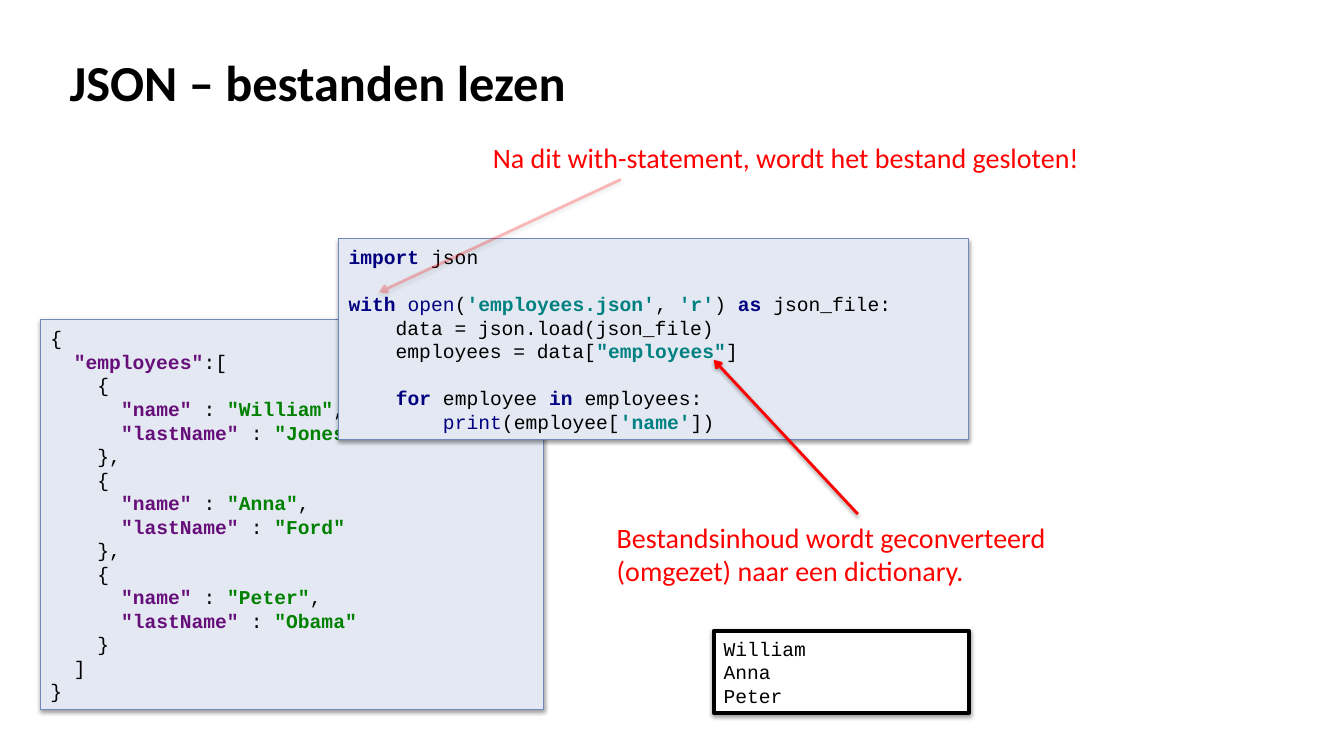
from copy import deepcopy

from lxml import etree
from pptx import Presentation
from pptx.dml.color import RGBColor
from pptx.enum.shapes import MSO_CONNECTOR, MSO_SHAPE
from pptx.enum.text import MSO_ANCHOR, MSO_AUTO_SIZE, PP_ALIGN
from pptx.oxml.ns import qn
from pptx.util import Inches, Pt

RECTANGLE = MSO_SHAPE.RECTANGLE
STRAIGHT = MSO_CONNECTOR.STRAIGHT
MIDDLE = MSO_ANCHOR.MIDDLE
FIT_TEXT = MSO_AUTO_SIZE.SHAPE_TO_FIT_TEXT
LEFT = PP_ALIGN.LEFT

SLIDE_WIDTH, SLIDE_HEIGHT = Inches(13.33), Inches(7.5)
TITLE_ONLY = 5
BODY_FONT, CODE_FONT = "Calibri", "Courier New"
BLACK, RED = "000000", "FF0000"
PANEL = {"fill": "E3E8F2", "outline": "7088BA", "weight": 0.75}
CONSOLE = {"fill": "FFFFFF", "outline": BLACK, "weight": 3}

TOKEN_STYLES = {
    "plain": (BLACK, False),
    "key": ("660E7A", True),
    "value": ("008000", True),
    "keyword": ("000080", True),
    "builtin": ("000080", False),
    "string": ("008080", True),
}


def employee_lines(first_name, last_name, closing):
    """Return the JSON lines of one employee."""
    return [
        [("    {", "plain")],
        [("      ", "plain"), ('"name" ', "key"), (": ", "plain"),
         (f'"{first_name}"', "value"), (",", "plain")],
        [("      ", "plain"), ('"lastName" ', "key"), (": ", "plain"),
         (f'"{last_name}"', "value")],
        [(f"    {closing}", "plain")],
    ]


JSON_LINES = [
    [("{", "plain")],
    [("  ", "plain"), ('"employees"', "key"), (":[", "plain")],
    *employee_lines("William", "Jones", "},"),
    *employee_lines("Anna", "Ford", "},"),
    *employee_lines("Peter", "Obama", "}"),
    [("  ]", "plain")],
    [("}", "plain")],
]
PROGRAM_LINES = [
    [("import ", "keyword"), ("json", "plain")],
    [],
    [("with ", "keyword"), ("open", "builtin"), ("(", "plain"),
     ("'employees.json'", "string"), (", ", "plain"), ("'r'", "string"),
     (") ", "plain"), ("as ", "keyword"), ("json_file:", "plain")],
    [("    data = json.load(json_file)", "plain")],
    [("    employees = data[", "plain"), ('"employees"', "string"), ("]", "plain")],
    [],
    [("    ", "plain"), ("for ", "keyword"), ("employee ", "plain"),
     ("in ", "keyword"), ("employees:", "plain")],
    [("        ", "plain"), ("print", "builtin"), ("(employee[", "plain"),
     ("'name'", "string"), ("])", "plain")],
]
OUTPUT_PARAGRAPHS = [[[(name, "plain")]] for name in ("William", "Anna", "Peter")]


def rgb(value):
    """Turn a hex string into a colour."""
    return RGBColor.from_string(value)


def place(*percentages):
    """Turn alternating percentages of slide width and height into lengths."""
    sides = (SLIDE_WIDTH, SLIDE_HEIGHT)
    return [int(sides[index % 2] * share / 100)
            for index, share in enumerate(percentages)]


def add_run(paragraph, text, font_name, size, color, bold=False):
    """Add one formatted run and return it."""
    run = paragraph.add_run()
    run.text = text
    run.font.name = font_name
    run.font.size = Pt(size)
    run.font.bold = bold
    run.font.color.rgb = rgb(color)
    return run


def prepare_frame(shape):
    """Make the text of a shape wrap, centre vertically and fit."""
    frame = shape.text_frame
    frame.word_wrap = True
    frame.vertical_anchor = MIDDLE
    frame.auto_size = FIT_TEXT
    return frame


def add_shadow(shape):
    """Give a shape or connector a soft shadow below it."""
    properties = shape._element.spPr
    effects = properties.find(qn("a:effectLst"))
    if effects is None:
        effects = etree.SubElement(properties, qn("a:effectLst"))
    shadow = etree.SubElement(effects, qn("a:outerShdw"), blurRad=str(Pt(3.1)),
                              dist=str(Pt(1.6)), dir="5400000", rotWithShape="0")
    color = etree.SubElement(shadow, qn("a:srgbClr"), val=BLACK)
    etree.SubElement(color, qn("a:alpha"), val="38000")


def fill_code(paragraph, lines):
    """Write coloured code lines into one paragraph."""
    paragraph.alignment = LEFT
    run = None
    for number, tokens in enumerate(lines):
        if number:
            paragraph.add_line_break()
            paragraph._p[-1].append(deepcopy(run._r.rPr))
        for text, style in tokens:
            run = add_run(paragraph, text, CODE_FONT, 14, *TOKEN_STYLES[style])


def add_code_box(slide, box, paragraphs, fill, outline, weight):
    """Draw a framed box that holds paragraphs of code."""
    shape = slide.shapes.add_shape(RECTANGLE, *place(*box))
    shape.shadow.inherit = False
    shape.fill.solid()
    shape.fill.fore_color.rgb = rgb(fill)
    shape.line.color.rgb = rgb(outline)
    shape.line.width = Pt(weight)
    add_shadow(shape)
    frame = prepare_frame(shape)
    for number, lines in enumerate(paragraphs):
        paragraph = frame.add_paragraph() if number else frame.paragraphs[0]
        fill_code(paragraph, lines)


def add_note(slide, box, text):
    """Add a red remark."""
    frame = prepare_frame(slide.shapes.add_textbox(*place(*box)))
    add_run(frame.paragraphs[0], text, BODY_FONT, 20, RED)


def add_arrow(slide, ends, opacity=100):
    """Draw a red arrow from a remark to the code."""
    arrow = slide.shapes.add_connector(STRAIGHT, *place(*ends))
    arrow.line.color.rgb = rgb(RED)
    arrow.line.width = Pt(2)
    line = arrow.line._get_or_add_ln()
    if opacity < 100:
        color = line.find(".//" + qn("a:srgbClr"))
        etree.SubElement(color, qn("a:alpha"), val=str(opacity * 1000))
    etree.SubElement(line, qn("a:tailEnd"), type="arrow")
    add_shadow(arrow)


def add_title(slide, box, text):
    """Move and fill the title placeholder."""
    title = slide.shapes.title
    title.left, title.top, title.width, title.height = place(*box)
    title.text_frame.vertical_anchor = MIDDLE
    paragraph = title.text_frame.paragraphs[0]
    paragraph.alignment = LEFT
    add_run(paragraph, text, BODY_FONT, 36, BLACK, True)


def build_slide(presentation):
    """Build the slide about reading JSON files."""
    slide = presentation.slides.add_slide(presentation.slide_layouts[TITLE_ONLY])
    add_title(slide, (4.43, 0, 70.6, 21.47), "JSON – bestanden lezen")
    add_code_box(slide, (3, 42.27, 37.43, 51.6), [JSON_LINES], **PANEL)
    add_code_box(slide, (25.2, 31.6, 46.88, 26.53), [PROGRAM_LINES], **PANEL)
    add_code_box(slide, (53.1, 83.47, 19, 10.8), OUTPUT_PARAGRAPHS, **CONSOLE)
    add_arrow(slide, (46.2, 23.73, 28.2, 38.67), opacity=25)
    add_note(slide, (35.93, 17.87, 46.88, 5.87),
             "Na dit with-statement, wordt het bestand gesloten!")
    add_arrow(slide, (63.83, 68, 53.1, 47.6))
    add_note(slide, (45.15, 68.13, 34.8, 10.27),
             "Bestandsinhoud wordt geconverteerd (omgezet) naar een dictionary.")


def main():
    """Create and save the presentation."""
    presentation = Presentation()
    presentation.slide_width, presentation.slide_height = SLIDE_WIDTH, SLIDE_HEIGHT
    build_slide(presentation)
    presentation.save("out.pptx")


if __name__ == "__main__":
    main()
